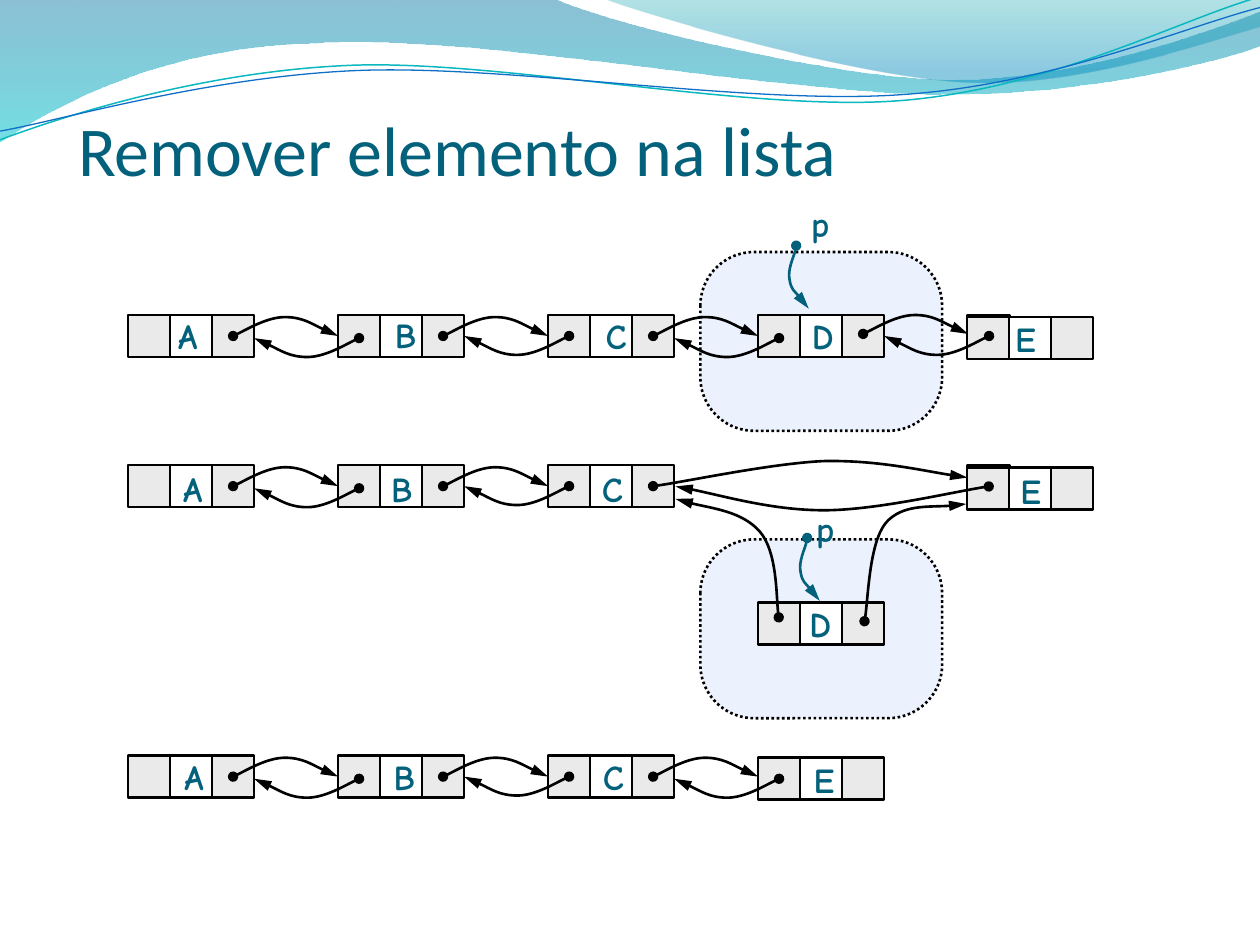
import pptx
import pptx.dml.color
import pptx.enum.dml
import pptx.enum.shapes
import pptx.enum.text
import pptx.oxml
import pptx.oxml.ns
import pptx.util

Pt = pptx.util.Pt
RGB = pptx.dml.color.RGBColor
SHAPE = pptx.enum.shapes.MSO_SHAPE
qn = pptx.oxml.ns.qn
NS = pptx.oxml.ns.nsdecls("a")

BLACK = RGB(0x00, 0x00, 0x00)
WHITE = RGB(0xFF, 0xFF, 0xFF)
GREY = RGB(0xEA, 0xEA, 0xEA)
PALE = RGB(0xEC, 0xF1, 0xFE)
TEAL = RGB(0x04, 0x61, 0x7B)
BLUE = RGB(0x0F, 0x6F, 0xC6)
AQUA = RGB(0x0A, 0xB8, 0xBF)
CELL, PITCH, LEFT = 24, 120, 73.2
ROWS = (180, 265.8, 431.8)

prs = pptx.Presentation()
prs.slide_width, prs.slide_height = Pt(720), Pt(540)
s = prs.slides.add_slide(prs.slide_layouts[5])


def add_box(kind, x, y, w, h, fill):
    sp = s.shapes.add_shape(kind, Pt(x), Pt(y), Pt(w), Pt(h))
    sp.shadow.inherit = False
    sp.fill.solid()
    sp.fill.fore_color.rgb = fill
    sp.line.color.rgb = BLACK
    sp.line.width = Pt(1.5)
    return sp


def add_path(start, segments, line=None, width=1.5, close=False):
    """Segments of one point are straight, segments of three are Bezier curves."""
    points = [(Pt(x), Pt(y)) for seg in segments for x, y in zip(seg[::2], seg[1::2])]
    fb = s.shapes.build_freeform(Pt(start[0]), Pt(start[1]))
    fb.add_line_segments(points, close=close)
    sp = fb.convert_to_shape()
    steps = iter(list(sp._element.iter(qn("a:lnTo"))))
    for seg in segments:
        step = next(steps)
        if len(seg) == 6:
            curve = pptx.oxml.parse_xml(f"<a:cubicBezTo {NS}/>")
            step.addprevious(curve)
            for part in (step, next(steps), next(steps)):
                curve.append(part[0])
                part.getparent().remove(part)
    sp.shadow.inherit = False
    sp.fill.background()
    if line is None:
        sp.line.fill.background()
    else:
        sp.line.color.rgb = line
        sp.line.width = Pt(width)
    return sp


# Wave bands with transparent gradients: start, segments, (colour, position, opacity)
bands = [
    ((0, 0), [(316.8, -0.7), (342.7, 12.2, 478.1, 45.4, 545.8, 45.4),
              (614.2, 45.4, 689.8, 18.7, 720, 6.5), (720.7, 25.9),
              (707.8, 31.7, 626.4, 54.7, 537.1, 54), (447.8, 54, 275, 20.2, 185, 24.5),
              (92.9, 25.9, 33.1, 59.8, -0.7, 81.4)],
     [(RGB(0x00, 0x74, 0xA1), 0, 45), (RGB(0x00, 0xC6, 0xCF), 1, 55)]),
    ((344.9, -0.7), [(366.5, 7.9, 491, 44.6, 553.7, 46.8),
                     (616.3, 49.7, 691.9, 23, 720, 15.1), (720, 0)],
     [(RGB(0x00, 0xA1, 0xA9), 0, 30), (RGB(0x00, 0x8B, 0xBF), 0.8, 45)]),
]
for start, segments, stops in bands:
    sp = add_path(start, segments, close=True)
    sp.fill.gradient()
    sp.fill.gradient_angle = 270
    for stop, (colour, position, opacity) in zip(sp.fill.gradient_stops, stops):
        stop.color.rgb = colour
        stop.position = position
        clr = next(stop._gs.iter(qn("a:srgbClr")))
        clr.append(pptx.oxml.parse_xml(f'<a:alpha {NS} val="{opacity * 1000}"/>'))

# Thin wave lines
add_path((0, 79.9), [(34.6, 67, 113.8, 41, 199.4, 37.4), (284.4, 33.8, 427, 64.1, 513.4, 57.6),
                     (599.8, 51.1, 675.4, 10.8, 718.6, -1.4)], AQUA, 0.85)
add_path((0, 74.9), [(33.8, 69.1, 118.1, 43.9, 203.8, 40.3), (290.2, 36.7, 429.8, 60.5, 516.2, 54),
                     (601.9, 48.2, 677.5, 15.1, 720, 4.3)], BLUE, 0.75)

# Title
sp = s.shapes.title
for k, v in {"left": 37.4, "top": 31.7, "width": 648, "height": 80.6}.items():
    setattr(sp, k, Pt(v))
tf = sp.text_frame
tf.text = "Remover elemento na lista"
tf.vertical_anchor = pptx.enum.text.MSO_ANCHOR.BOTTOM
tf.auto_size = pptx.enum.text.MSO_AUTO_SIZE.NONE
p = tf.paragraphs[0]
p.alignment = pptx.enum.text.PP_ALIGN.LEFT
r = p.runs[0]
for k, v in {"name": "Calibri", "size": Pt(40), "bold": False}.items():
    setattr(r.font, k, v)
r.font.color.rgb = TEAL

# Dotted frames around the element being removed
for y in (144, 308.2):
    sp = add_box(SHAPE.ROUNDED_RECTANGLE, 400.2, y, 138.2, 102.2, PALE)
    sp.adjustments[0] = 0.301
    sp.line.dash_style = pptx.enum.dml.MSO_LINE.ROUND_DOT

# List nodes, three cells each
for y in ROWS[:2]:
    add_box(SHAPE.RECTANGLE, 553, y, CELL, CELL, BLUE)
nodes = [(LEFT + i * PITCH, y) for y in ROWS for i in range(3)]
nodes += [(433.2, 180), (433.2, 344.2), (552.5, 181.2), (552.5, 267), (433.2, 432.9)]
for x, y in nodes:
    for i, fill in enumerate((GREY, WHITE, GREY)):
        add_box(SHAPE.RECTANGLE, x + i * CELL, y, CELL, CELL, fill)

# Arrows between neighbours: forward bends up, backward is the same turned around
arrows = []
for y, links in zip(ROWS, (4, 2, 3)):
    for i in range(links):
        x = LEFT + i * PITCH
        forward = (x + 60, y + (10.8 if i == 3 else 12), 1)
        backward = (x + 132, y + (12 if i % 2 else 13.2), -1)
        for x0, y0, d in (forward, backward):
            bend = [(4.8, -2, 19.6, -10.8, 29.6, -10.8), (39.7, -10.8, 54, -2.2, 60, 0)]
            curve = [tuple((y0, x0)[k % 2 == 0] + d * v for k, v in enumerate(seg))
                     for seg in bend]
            arrows.append(((x0, y0), curve, BLACK))

# Long arrows of the removal step
arrows += [
    ((373.2, 277.8), [(389.5, 275.8, 439.9, 265, 470.2, 263.5),
                      (500.4, 262.8, 535.7, 270.7, 552.8, 272.9)], BLACK),
    ((565, 278), [(549.4, 280, 501, 291.6, 470.9, 291.6),
                  (441.4, 291.6, 403.9, 280.8, 386, 278)], BLACK),
    ((445, 352.8), [(443.5, 344.9, 444.2, 315.4, 434.2, 303.8),
                    (424.1, 292.3, 396, 288.7, 386, 285.1)], BLACK),
    ((494, 355), [(496, 345.6, 496.8, 310.3, 506.2, 298.8),
                  (515.5, 288, 542.2, 290.2, 552.2, 288)], BLACK),
]

# Pointer p
for x, y in ((455, 140.4), (461.3, 307.4)):
    arrows.append(((x, y), [(x, y + 3.6, x - 5, y + 13.6, x - 3.8, y + 19.4),
                            (x - 2.8, y + 25.4, x + 5, y + 32.4, x + 7.2, y + 36)], TEAL))

for start, segments, colour in arrows:
    ln = add_path(start, segments, colour).line._get_or_add_ln()
    ln.append(pptx.oxml.parse_xml(f'<a:headEnd {NS} type="oval" w="med" len="med"/>'))
    ln.append(pptx.oxml.parse_xml(f'<a:tailEnd {NS} type="triangle" w="med" len="lg"/>'))

# Letters
labels = [
    ("A", 92.9, 176.4), ("B", 217.4, 175.7), ("C", 337.7, 176.4), ("D", 455.8, 176.4),
    ("E", 571.7, 177.8), ("p", 454.3, 112.3),
    ("A", 95.8, 263.5), ("B", 215.3, 263.5), ("C", 335.5, 263.5), ("E", 574.6, 265),
    ("D", 454.3, 340.6), ("p", 457.2, 286.6),
    ("A", 96.5, 428.4), ("B", 216.7, 428.4), ("C", 336.2, 428.4), ("E", 456.5, 429.8),
]
for text, x, y in labels:
    tf = s.shapes.add_textbox(Pt(x), Pt(y), Pt(28.8), Pt(31.7)).text_frame
    tf.word_wrap = False
    tf.auto_size = pptx.enum.text.MSO_AUTO_SIZE.SHAPE_TO_FIT_TEXT
    p = tf.paragraphs[0]
    p.alignment = pptx.enum.text.PP_ALIGN.CENTER
    r = p.add_run()
    r.text = text
    for k, v in {"name": "Comic Neue", "size": Pt(20), "bold": True}.items():
        setattr(r.font, k, v)
    r.font.color.rgb = TEAL

prs.save("out.pptx")
